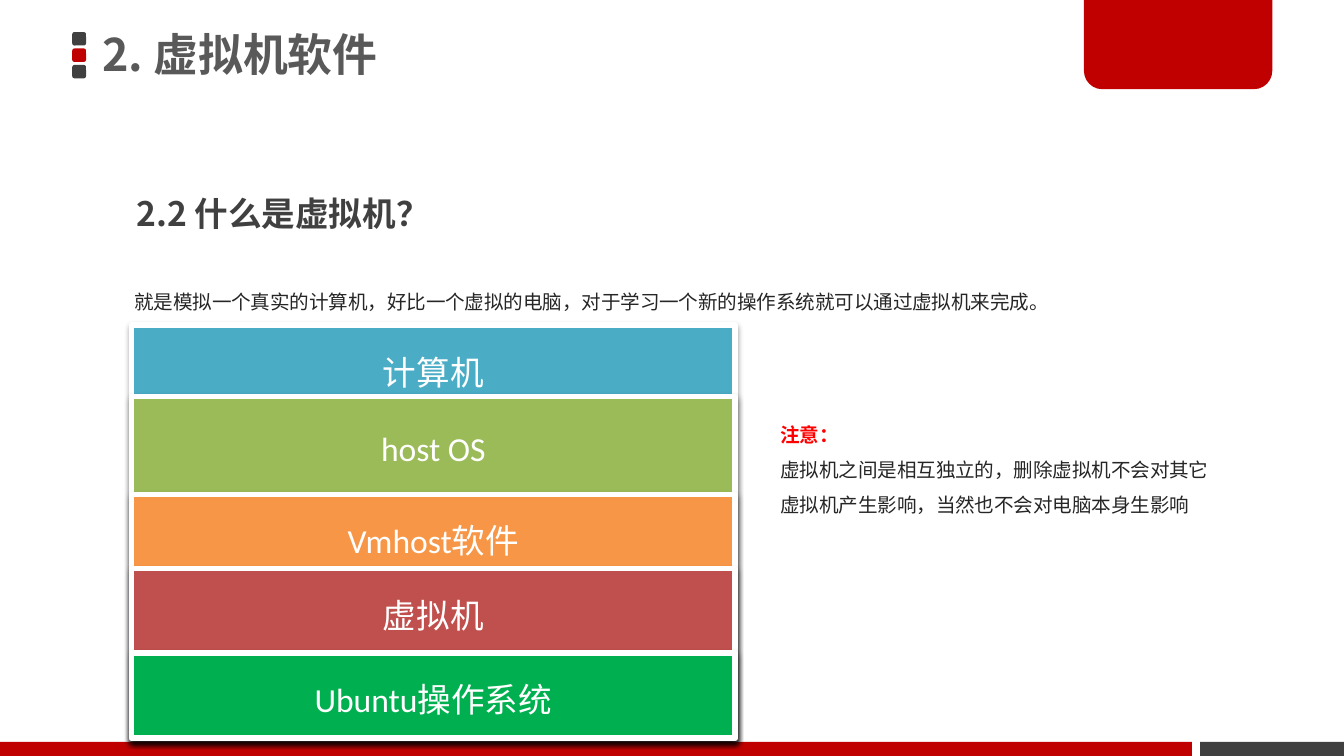
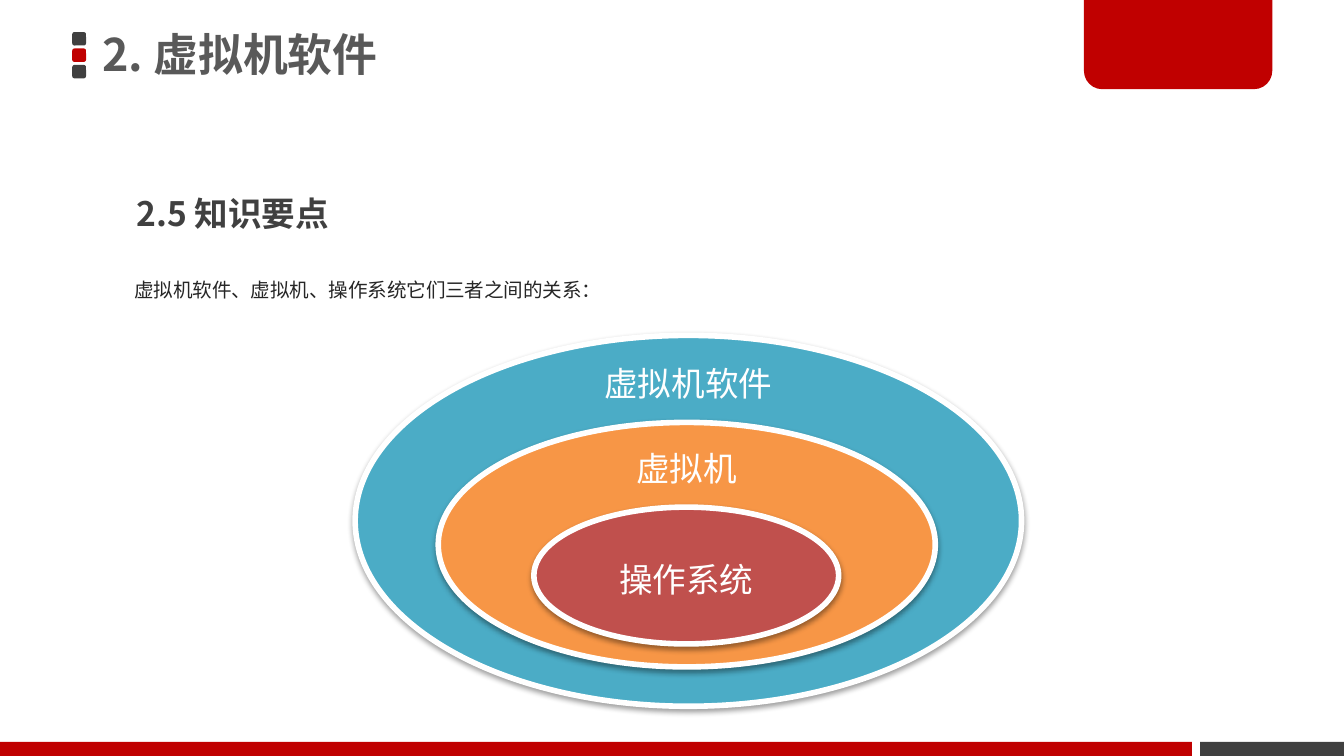
from dataclasses import dataclass
from pptx import Presentation, util as u
from pptx.dml import color
from pptx.enum import shapes, text
from pptx.oxml import parse_xml
from pptx.oxml.ns import nsdecls

KIND = shapes.MSO_SHAPE
RED, DARK, WHITE = "C00000", "404040", "FFFFFF"
TEAL, ORANGE, BRICK = "4BACC6", "F79646", "C0504D"
CJK = "Noto Sans CJK SC"


@dataclass(frozen=True)
class Box:
    x: float
    y: float
    w: float
    h: float


@dataclass(frozen=True)
class Look:
    size: float
    hue: str
    bold: bool = False
    gap: float = 1.5
    face: str = CJK


@dataclass(frozen=True)
class Layer:
    label: str
    box: Box
    fill: str
    lift: float


TITLE = Look(24, "595959", True, 0.9)
HEAD = Look(18, DARK, True)
BODY = Look(10.5, "262626")
TIGHT = Look(10.5, "262626", gap=1)
ALERT = Look(10.5, "FF0000", True)
LABEL = Look(18, WHITE, gap=1, face="Calibri")

FOOT = 395.3
STACK = [
    Layer(label, Box(70.5, top, 323.3, FOOT - top), fill, lift)
    for label, top, fill, lift in [
        ("计算机", 174.2, TEAL, 184.9),
        ("host OS", 212.5, "9BBB59", 144.3),
        ("Vmhost软件", 265, ORANGE, 95.4),
        ("虚拟机", 304.7, BRICK, 54.7),
        ("Ubuntu操作系统", 350, "00B050", 9.7),
    ]
]
RINGS = [
    Layer("虚拟机软件", Box(190.3, 179.7, 357, 198.7), TEAL, 133),
    Layer("虚拟机", Box(234.8, 226.3, 266.3, 131), ORANGE, 76.8),
    Layer("操作系统", Box(286, 271.7, 163.3, 73.3), BRICK, 13),
]


def tint(hue: str) -> color.RGBColor:
    return color.RGBColor.from_string(hue)


def place(item, box: Box) -> None:
    item.left, item.top = u.Pt(box.x), u.Pt(box.y)
    item.width, item.height = u.Pt(box.w), u.Pt(box.h)


def style(para, look: Look, align=text.PP_ALIGN.LEFT) -> None:
    para.alignment = align
    para.line_spacing = look.gap
    for run in para.runs:
        font = run.font
        font.size, font.bold, font.name = u.Pt(look.size), look.bold, look.face
        font.color.rgb = tint(look.hue)
        if look.face == CJK:
            font._element.get_or_add_latin().addnext(
                parse_xml(f'<a:ea {nsdecls("a")} typeface="{CJK}"/>'))


def shape(slide, kind, box: Box, fill: str):
    item = slide.shapes.add_shape(kind, 0, 0, 0, 0)
    place(item, box)
    item.shadow.inherit = False
    item.fill.solid()
    item.fill.fore_color.rgb = tint(fill)
    item.line.fill.background()
    return item


def write(slide, box: Box, lines: list[tuple[str, Look]]) -> None:
    item = slide.shapes.add_textbox(0, 0, 0, 0)
    place(item, box)
    frame = item.text_frame
    frame.word_wrap = True
    frame.auto_size = text.MSO_AUTO_SIZE.SHAPE_TO_FIT_TEXT
    frame.text = "\n".join(line for line, _ in lines)
    for para, (_, look) in zip(frame.paragraphs, lines):
        style(para, look)


def shade(item) -> None:
    effects = item._element.spPr.find(
        "{http://schemas.openxmlformats.org/drawingml/2006/main}effectLst")
    effects.append(parse_xml(
        f'<a:outerShdw {nsdecls("a")} blurRad="{u.Pt(3.1)}" dist="{u.Pt(1.6)}" '
        'dir="5400000" rotWithShape="0"><a:srgbClr val="000000">'
        '<a:alpha val="38000"/></a:srgbClr></a:outerShdw>'))


def layer(slide, kind, part: Layer) -> None:
    item = shape(slide, kind, part.box, part.fill)
    item.line.color.rgb = tint(WHITE)
    item.line.width = u.Pt(3)
    shade(item)
    frame = item.text_frame
    frame.word_wrap = True
    frame.vertical_anchor = text.MSO_ANCHOR.BOTTOM
    frame.margin_top, frame.margin_bottom = 0, u.Pt(part.lift)
    frame.text = part.label
    style(frame.paragraphs[0], LABEL, text.PP_ALIGN.CENTER)


def start(deck, head: str):
    slide = deck.slides.add_slide(deck.slide_layouts[5])
    for row, fill in enumerate([DARK, RED, DARK]):
        shape(slide, KIND.ROUNDED_RECTANGLE,
              Box(38.7, 17.2 + 8.8 * row, 7.4, 7.2), fill)
    shape(slide, KIND.RECTANGLE, Box(643, 397.5, 77, 7.5), DARK)
    tab = shape(slide, KIND.ROUND_2_SAME_RECTANGLE,
                Box(580.7, -1.4, 100.9, 49.2), RED)
    tab.adjustments[0], tab.adjustments[1] = 0, 0.2
    shape(slide, KIND.RECTANGLE, Box(0, 397.5, 638.6, 7.5), RED)
    title = slide.shapes.title
    place(title, Box(49.7, -1.4, 424, 64))
    frame = title.text_frame
    frame.vertical_anchor = text.MSO_ANCHOR.MIDDLE
    frame.margin_left = frame.margin_right = u.Pt(5.1)
    frame.margin_top = frame.margin_bottom = u.Pt(2.6)
    frame.text = "2. 虚拟机软件"
    style(frame.paragraphs[0], TITLE)
    write(slide, Box(66, 89.3, 276.5, 40.3), [(head, HEAD)])
    return slide


def stack(deck) -> None:
    slide = start(deck, "2.2 什么是虚拟机？")
    write(slide, Box(64.8, 145.4, 589.7, 26.6), [
        ("就是模拟一个真实的计算机，好比一个虚拟的电脑，对于学习一个新的操作系统就可以通过虚拟机来完成。", BODY)])
    for part in STACK:
        layer(slide, KIND.RECTANGLE, part)
    write(slide, Box(411, 216.7, 249, 64.8), [
        ("注意：", ALERT),
        ("虚拟机之间是相互独立的，删除虚拟机不会对其它虚拟机产生影响，当然也不会对电脑本身生影响", BODY)])


def rings(deck) -> None:
    slide = start(deck, "2.5 知识要点")
    for part in RINGS:
        layer(slide, KIND.OVAL, part)
    write(slide, Box(64.8, 145.4, 589.7, 20.2), [
        ("虚拟机软件、虚拟机、操作系统它们三者之间的关系：", TIGHT)])


def main() -> None:
    deck = Presentation()
    deck.slide_width, deck.slide_height = u.Pt(720), u.Pt(405)
    stack(deck)
    rings(deck)
    deck.save("out.pptx")


if __name__ == "__main__":
    main()
